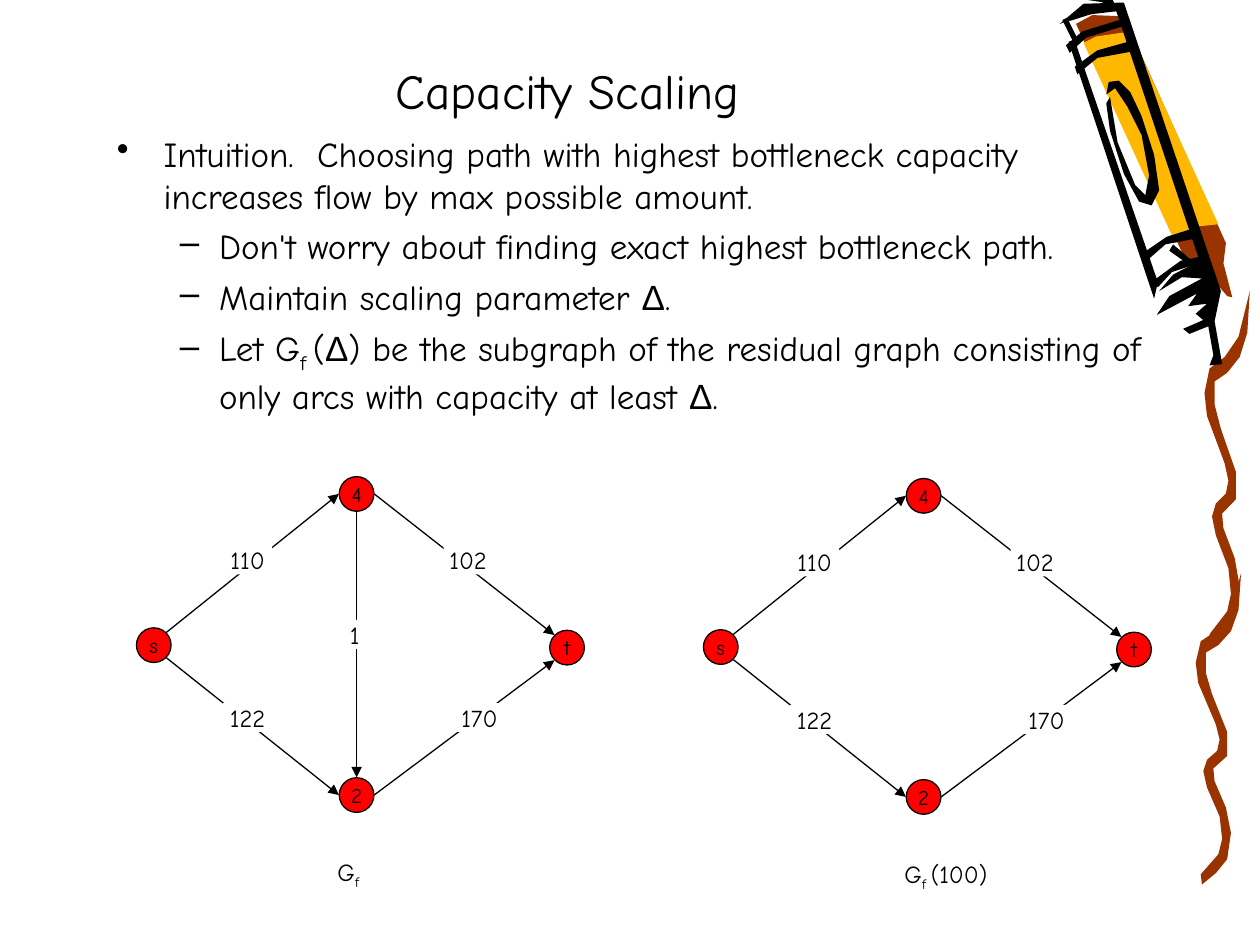
from dataclasses import dataclass

from lxml import etree
from pptx import Presentation
from pptx.dml.color import RGBColor
from pptx.enum.shapes import MSO_CONNECTOR, MSO_SHAPE
from pptx.enum.text import MSO_ANCHOR, PP_ALIGN
from pptx.oxml.ns import qn
from pptx.util import Inches, Pt

STRAIGHT = MSO_CONNECTOR.STRAIGHT
OVAL, RECT = MSO_SHAPE.OVAL, MSO_SHAPE.RECTANGLE
TOP, MIDDLE, BOTTOM = MSO_ANCHOR.TOP, MSO_ANCHOR.MIDDLE, MSO_ANCHOR.BOTTOM
LEFT, CENTER = PP_ALIGN.LEFT, PP_ALIGN.CENTER
COLORS = {"ink": "000000", "paper": "FFFFFF", "node": "FF0000",
          "wax": "993300", "wrapper": "FFB800"}
FONT, SYMBOL_FONT = "Comic Neue", "Arial"
COLS, ROWS = 1000, 750  # slide grid: 100 units to the inch
UNIT = Inches(0.01)

# Crayon outlines in grid units from the crayon's box
CRAYON = [
    ("wax", [(14, 19), (98, 200), (116, 214), (134, 235), (138, 236), (131, 209),
             (133, 193), (52, 13), (27, 12)]),
    ("wrapper", [(93, 193), (108, 180), (127, 178), (57, 25), (30, 29), (20, 34)]),
    ("ink", [(88, 199), (105, 211), (125, 233), (126, 229), (109, 209), (91, 194)]),
    ("ink", [(8, 17), (30, 10), (47, 7), (39, -7), (23, 0), (36, 2), (14, 11)]),
    ("ink", [(38, 82), (41, 104), (52, 138), (64, 160), (74, 163), (80, 151),
             (76, 123), (66, 92), (57, 73), (48, 64), (40, 65), (38, 75), (45, 70),
             (55, 85), (66, 107), (72, 139), (69, 155), (61, 147), (47, 113),
             (41, 77)]),
    ("ink", [(8, 33), (76, 237), (79, 224), (13, 32)]),
    ("ink", [(78, 250), (88, 235), (114, 221), (98, 220), (80, 231), (91, 218),
             (112, 207), (46, 9), (20, 12), (1, 19), (20, 3), (52, 2), (129, 231),
             (124, 255), (130, 289), (120, 290), (123, 282), (119, 259), (104, 265),
             (99, 261), (115, 254), (109, 249), (118, 241), (103, 243), (110, 233)]),
    ("ink", [(79, 228), (90, 216), (117, 207), (116, 203), (97, 207), (75, 223)]),
    ("ink", [(69, 208), (85, 194), (111, 189), (108, 181), (86, 188), (67, 201)]),
    ("ink", [(15, 59), (31, 46), (58, 41), (56, 33), (31, 40), (13, 53)]),
    ("ink", [(9, 42), (22, 30), (51, 21), (48, 16), (19, 25), (6, 36)]),
]
SQUIGGLE = [(4, 239), (18, 223), (21, 211), (19, 193), (9, 170), (6, 157), (9, 148),
            (17, 141), (19, 132), (16, 120), (2, 87), (0, 71), (4, 54), (16, 46),
            (27, 32), (36, 0), (34, 29), (28, 46), (18, 57), (8, 63), (8, 79),
            (13, 96), (25, 126), (25, 145), (14, 155), (15, 165), (24, 186),
            (28, 206), (25, 227), (16, 238), (5, 247)]

# Graph in grid units from the graph's box
NODE = 27.5
NODES = {"s": (14, 134), "4": (175, 14), "2": (175, 253), "t": (342, 136)}
SITES = {"left": (-14, 0), "right": (14, 0), "top": (0, -14), "bottom": (0, 14),
         "NE": (10, -10), "SE": (10, 10), "NW": (-10, -10), "SW": (-10, 10)}
EDGES = [("s", "NE", "4", "left", "110", (88.5, 66.5)),
         ("2", "right", "t", "SW", "170", (272.5, 191.5)),
         ("s", "SE", "2", "left", "122", (88.5, 191.5)),
         ("4", "right", "t", "NW", "102", (263.5, 66.5))]
MIDDLE_EDGE = ("4", "bottom", "2", "top", "1", (173.5, 125.5))


@dataclass
class Box:
    """A region of the slide: its corner and the grid units that fit its size."""
    left: float
    top: float
    x_unit: float = UNIT
    y_unit: float = UNIT

    def place(self, col, row):
        return int(self.left + col * self.x_unit), int(self.top + row * self.y_unit)

    def area(self, col, row, width, height):
        return (*self.place(col, row), int(width * self.x_unit), int(height * self.y_unit))

    def sub(self, col, row, stretch=1):
        return Box(*self.place(col, row), self.x_unit, self.y_unit * stretch)


def color(name):
    return RGBColor.from_string(COLORS[name])


def add_runs(p, runs, size):
    """Each run is (text, style), style being '', 'sub' or 'symbol'."""
    for text, style in runs:
        r = p.add_run()
        r.text = text
        r.font.size = Pt(size)
        r.font.name = SYMBOL_FONT if style == "symbol" else FONT
        r.font.color.rgb = color("ink")
        if style == "sub":
            r.font._element.set("baseline", "-25000")


def add_text(s, area, runs, size, align=LEFT, anchor=TOP):
    tf = s.shapes.add_textbox(*area).text_frame
    tf.word_wrap = True
    tf.vertical_anchor = anchor
    p = tf.paragraphs[0]
    p.alignment = align
    add_runs(p, runs, size)


def add_filled(s, kind, area, fill, text, size):
    sp = s.shapes.add_shape(kind, *area)
    sp.shadow.inherit = False
    sp.fill.solid()
    sp.fill.fore_color.rgb = color(fill)
    sp.line.fill.background()
    tf = sp.text_frame
    tf.vertical_anchor = MIDDLE
    tf.word_wrap = False
    tf.margin_left = tf.margin_right = tf.margin_top = tf.margin_bottom = 0
    p = tf.paragraphs[0]
    p.alignment = CENTER
    add_runs(p, [(text, "")], size)
    return sp


def add_line(s, start, end, width, arrow=False):
    ln = s.shapes.add_connector(STRAIGHT, *start, *end)
    ln.line.color.rgb = color("ink")
    ln.line.width = Pt(width)
    if arrow:
        etree.SubElement(ln.line._get_or_add_ln(), qn("a:tailEnd"), type="triangle")
    etree.SubElement(ln._element.spPr, qn("a:effectLst"))


def add_outline(s, box, points, fill):
    builder = s.shapes.build_freeform(*points[0], scale=(box.x_unit, box.y_unit))
    builder.add_line_segments(points[1:], close=True)
    sp = builder.convert_to_shape(int(box.left), int(box.top))
    sp.shadow.inherit = False
    sp.fill.solid()
    sp.fill.fore_color.rgb = color(fill)
    sp.line.fill.background()


def add_crayon(s, box):
    wax_parts, ink_parts = CRAYON[:2], CRAYON[2:]
    for fill, points in wax_parts:
        add_outline(s, box, points, fill)
    for squiggle in (box.sub(109, 455), box.sub(116, 231, stretch=1.14)):
        add_outline(s, squiggle, SQUIGGLE, "wax")
    for fill, points in ink_parts:
        add_outline(s, box, points, fill)
    add_line(s, box.place(5, 15), box.place(13, 31), 3)


def add_bullets(s, area, items):
    """Each item is (level, runs)."""
    tf = s.shapes.add_textbox(*area).text_frame
    tf.word_wrap = True
    styles = [("•", 0.37, -0.37), ("–", 0.81, -0.31)]
    for i, (level, runs) in enumerate(items):
        p = tf.paragraphs[0] if i == 0 else tf.add_paragraph()
        mark, margin, indent = styles[level]
        p.level = level
        pPr = p._p.get_or_add_pPr()
        pPr.set("marL", str(Inches(margin)))
        pPr.set("indent", str(Inches(indent)))
        clr = etree.SubElement(pPr, qn("a:buClr"))
        etree.SubElement(clr, qn("a:srgbClr"), val=COLORS["ink"])
        etree.SubElement(pPr, qn("a:buChar"), char=mark)
        if i:
            p.space_before = Pt(5)
        add_runs(p, runs, 20)


def add_graph(s, box, edges, caption, caption_width):
    def site(node, side):
        (x, y), (dx, dy) = NODES[node], SITES[side]
        return box.place(x + dx, y + dy)

    for tail, tail_side, head, head_side, *_ in edges:
        add_line(s, site(tail, tail_side), site(head, head_side), 0.75, arrow=True)
    for *_, label, (x, y) in edges:
        width = 13 * len(label) if len(label) > 1 else 31
        add_filled(s, RECT, box.area(x - width / 2, y - 11.5, width, 23),
                   "paper", label, 14)
    for name, (x, y) in NODES.items():
        area = box.area(x - NODE / 2, y - NODE / 2, NODE, NODE)
        sp = add_filled(s, OVAL, area, "node", name, 12)
        sp.line.color.rgb = color("ink")
        sp.line.width = Pt(0.75)
    add_text(s, box.area(150, 297, caption_width, 37), caption, 14)


def main():
    prs = Presentation()
    prs.slide_width, prs.slide_height = COLS * UNIT, ROWS * UNIT
    s = prs.slides.add_slide(prs.slide_layouts[6])
    page = Box(0, 0)
    delta = ("Δ", "symbol")
    add_crayon(s, page.sub(840, 0))
    add_text(s, page.area(75, -75, 751, 175), [("Capacity Scaling", "")], 28, CENTER, BOTTOM)
    add_bullets(s, page.area(83, 100, 842, 400), [
        (0, [("Intuition.  Choosing path with highest bottleneck capacity "
              "increases flow by max possible amount.", "")]),
        (1, [("Don't worry about finding exact highest bottleneck path.", "")]),
        (1, [("Maintain scaling parameter ", ""), delta, (".", "")]),
        (1, [("Let G", ""), ("f ", "sub"), ("(", ""), delta,
             (") be the subgraph of the residual graph consisting of only arcs "
              "with capacity at least ", ""), delta, (".", "")]),
    ])
    add_graph(s, page.sub(108, 378), EDGES + [MIDDLE_EDGE], [("G", ""), ("f", "sub")], 67)
    add_graph(s, page.sub(558, 379.5), EDGES,
              [("G", ""), ("f ", "sub"), ("(100)", "")], 125)
    prs.save("out.pptx")


if __name__ == "__main__":
    main()
